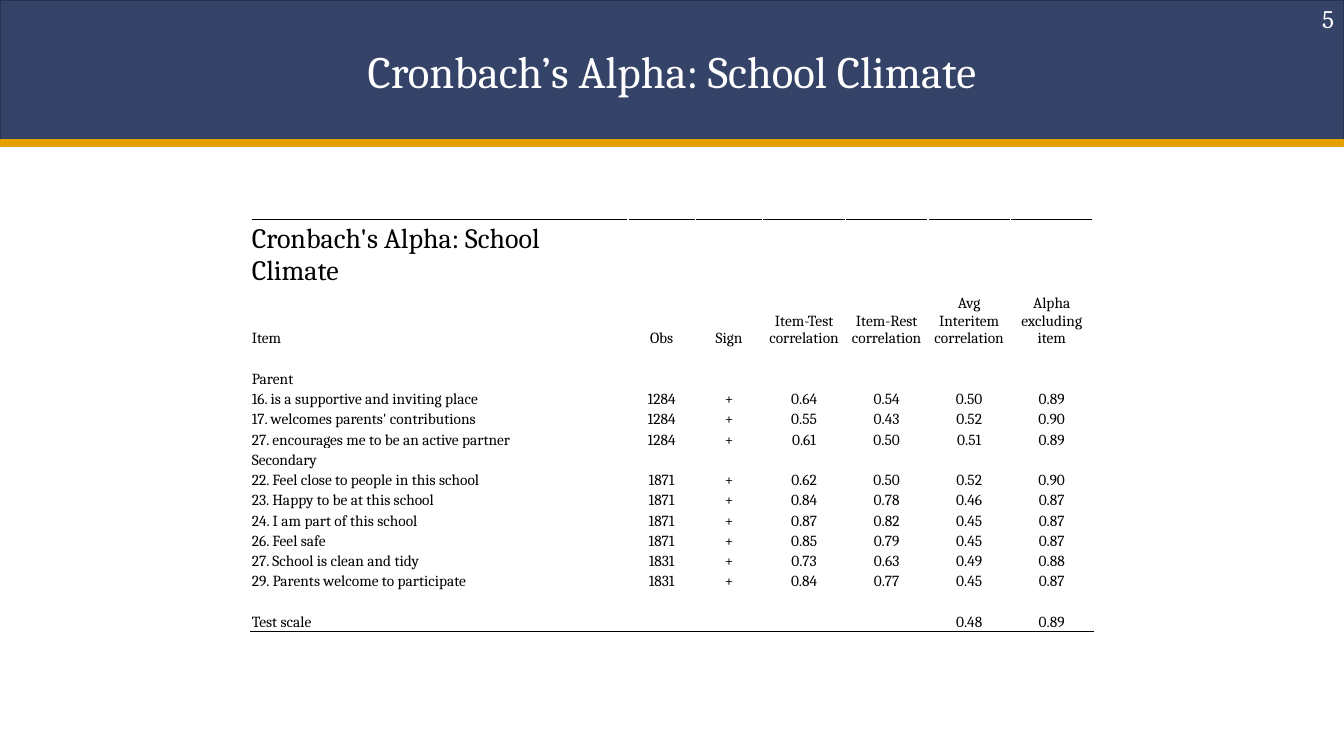
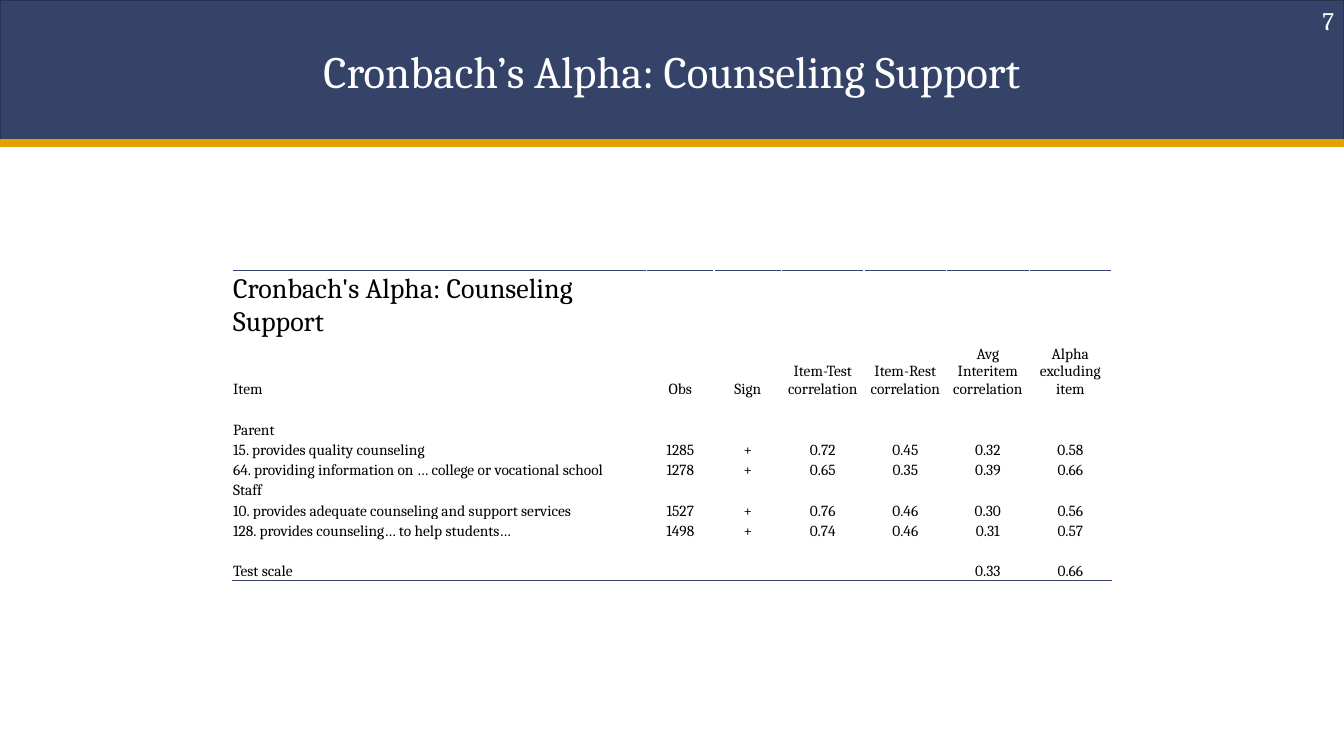
from dataclasses import dataclass
from typing import NamedTuple

from lxml import etree
from pptx import Presentation
from pptx.dml.color import RGBColor
from pptx.enum.shapes import MSO_CONNECTOR, MSO_SHAPE
from pptx.enum.text import MSO_ANCHOR, PP_ALIGN
from pptx.oxml.ns import qn
from pptx.util import Cm, Pt

STRAIGHT = MSO_CONNECTOR.STRAIGHT
RECTANGLE = MSO_SHAPE.RECTANGLE
MIDDLE, BOTTOM = MSO_ANCHOR.MIDDLE, MSO_ANCHOR.BOTTOM
LEFT, CENTER, RIGHT = PP_ALIGN.LEFT, PP_ALIGN.CENTER, PP_ALIGN.RIGHT

COLORS = {
    "navy": "354369",
    "navy_edge": "27324E",
    "gold": "E2A100",
    "white": "FFFFFF",
    "black": "000000",
}
FONT = "Cambria"

# Lengths in centimetres
SLIDE_WIDTH, SLIDE_HEIGHT = 33.87, 19.05
BAND_HEIGHT = 3.61
NUMBER_WIDTH = 7.9
VALUE_WIDTHS = [1.7] * 2 + [2.08] * 4
CAPTION_HEIGHT, HEADER_HEIGHT, ROW_HEIGHT = 0.91, 1.52, 0.51

HEADERS = ["Item", "Obs", "Sign", "Item-Test correlation", "Item-Rest correlation",
           "Avg Interitem correlation", "Alpha excluding item"]
BLANK_ROW = [""] * len(HEADERS)


class Item(NamedTuple):
    label: str
    observations: int
    item_test: float
    item_rest: float
    interitem: float
    alpha: float


class Group(NamedTuple):
    name: str
    items: list[Item]


@dataclass
class AlphaSlide:
    topic: str
    number: str
    table_top: float
    label_width: float
    rule_color: str
    groups: list[Group]
    scale_interitem: float
    scale_alpha: float
    number_spacing: float = 1.0


SLIDES = [
    AlphaSlide("School Climate", "5", 5.53, 9.5, "black", [
        Group("Parent", [
            Item("16. is a supportive and inviting place", 1284, 0.64, 0.54, 0.50, 0.89),
            Item("17. welcomes parents' contributions", 1284, 0.55, 0.43, 0.52, 0.90),
            Item("27. encourages me to be an active partner", 1284, 0.61, 0.50, 0.51, 0.89),
        ]),
        Group("Secondary", [
            Item("22. Feel close to people in this school", 1871, 0.62, 0.50, 0.52, 0.90),
            Item("23. Happy to be at this school", 1871, 0.84, 0.78, 0.46, 0.87),
            Item("24. I am part of this school", 1871, 0.87, 0.82, 0.45, 0.87),
            Item("26. Feel safe", 1871, 0.85, 0.79, 0.45, 0.87),
            Item("27. School is clean and tidy", 1831, 0.73, 0.63, 0.49, 0.88),
            Item("29. Parents welcome to participate", 1831, 0.84, 0.77, 0.45, 0.87),
        ]),
    ], 0.48, 0.89, number_spacing=0.9),
    AlphaSlide("Counseling Support", "7", 6.81, 10.44, "navy", [
        Group("Parent", [
            Item("15. provides quality counseling", 1285, 0.72, 0.45, 0.32, 0.58),
            Item("64. providing information on … college or vocational school",
                 1278, 0.65, 0.35, 0.39, 0.66),
        ]),
        Group("Staff", [
            Item("10. provides adequate counseling and support services",
                 1527, 0.76, 0.46, 0.30, 0.56),
            Item("128. provides counseling… to help students…", 1498, 0.74, 0.46, 0.31, 0.57),
        ]),
    ], 0.33, 0.66),
]


def color(name: str) -> RGBColor:
    return RGBColor.from_string(COLORS[name])


def format_paragraph(paragraph, size: int, color_name: str, alignment) -> None:
    paragraph.alignment = alignment
    paragraph.font.name = FONT
    paragraph.font.size = Pt(size)
    paragraph.font.color.rgb = color(color_name)


def add_band_to_layout(slide, layout) -> None:
    """Draw the header band and move it behind the layout's placeholders."""
    for placeholder in list(layout.placeholders):
        if placeholder.placeholder_format.idx != 0:
            placeholder.element.getparent().remove(placeholder.element)

    band = slide.shapes.add_shape(RECTANGLE, 0, 0, Cm(SLIDE_WIDTH), Cm(BAND_HEIGHT))
    band.shadow.inherit = False
    band.fill.solid()
    band.fill.fore_color.rgb = color("navy")
    band.line.color.rgb = color("navy_edge")
    band.line.width = Pt(2)

    rule = slide.shapes.add_connector(STRAIGHT, Cm(-0.08), Cm(BAND_HEIGHT),
                                      Cm(SLIDE_WIDTH + 0.08), Cm(BAND_HEIGHT))
    rule.line.color.rgb = color("gold")
    rule.line.width = Pt(6)
    etree.SubElement(rule.element.spPr, qn("a:effectLst"))

    for position, shape in enumerate((band, rule), start=2):
        layout.shapes.element.insert(position, shape.element)


def add_title(slide, text: str) -> None:
    title = slide.shapes.title
    title.left, title.top = Cm(1.7), Cm(0.2)
    title.width, title.height = Cm(30.48), Cm(3.18)
    title.text_frame.text = text
    title.text_frame.vertical_anchor = MIDDLE
    format_paragraph(title.text_frame.paragraphs[0], 32, "white", CENTER)


def add_number(slide, number: str, line_spacing: float) -> None:
    box = slide.shapes.add_textbox(Cm(SLIDE_WIDTH - NUMBER_WIDTH), 0,
                                   Cm(NUMBER_WIDTH), Cm(1.02))
    box.text_frame.word_wrap = True
    box.text_frame.vertical_anchor = MIDDLE
    box.text_frame.text = number
    paragraph = box.text_frame.paragraphs[0]
    paragraph.line_spacing = line_spacing
    format_paragraph(paragraph, 18, "white", RIGHT)


def add_border(cell, side: str, color_name: str) -> None:
    properties = cell._tc.get_or_add_tcPr()
    line = etree.SubElement(properties, qn(f"a:{side}"), w=str(Pt(1)))
    fill = etree.SubElement(line, qn("a:solidFill"))
    etree.SubElement(fill, qn("a:srgbClr"), val=COLORS[color_name])


def fill_cell(cell, text: str, size: int, alignment) -> None:
    cell.fill.background()
    cell.vertical_anchor = BOTTOM
    cell.margin_left = cell.margin_right = cell.margin_top = Cm(0.02)
    cell.margin_bottom = 0
    cell.text = text
    paragraph = cell.text_frame.paragraphs[0]
    format_paragraph(paragraph, size, "black", alignment)
    if not text:  # keeps an empty cell from stretching its row
        etree.SubElement(paragraph._p, qn("a:endParaRPr"), sz=str(size * 100))


def table_rows(content: AlphaSlide) -> list[list[str]]:
    rows = [[f"Cronbach's Alpha: {content.topic}"] + BLANK_ROW[1:], HEADERS, BLANK_ROW]
    for group in content.groups:
        rows.append([group.name] + BLANK_ROW[1:])
        for label, observations, *scores in group.items:
            rows.append([label, str(observations), "+"] + [f"{score:.2f}" for score in scores])
    scale = [f"{content.scale_interitem:.2f}", f"{content.scale_alpha:.2f}"]
    return rows + [BLANK_ROW, ["Test scale"] + BLANK_ROW[3:] + scale]


def add_alpha_table(slide, content: AlphaSlide) -> None:
    rows = table_rows(content)
    widths = [content.label_width] + VALUE_WIDTHS
    heights = [CAPTION_HEIGHT, HEADER_HEIGHT] + [ROW_HEIGHT] * (len(rows) - 2)
    table = slide.shapes.add_table(
        len(rows), len(widths), Cm((SLIDE_WIDTH - sum(widths)) / 2), Cm(content.table_top),
        Cm(sum(widths)), Cm(sum(heights))).table
    table.first_row = table.horz_banding = False
    for column, width in zip(table.columns, widths):
        column.width = Cm(width)
    for row, height in zip(table.rows, heights):
        row.height = Cm(height)

    for row_index, texts in enumerate(rows):
        for column_index, text in enumerate(texts):
            cell = table.cell(row_index, column_index)
            if row_index == 0:
                add_border(cell, "lnT", content.rule_color)
            elif row_index == len(rows) - 1:
                add_border(cell, "lnB", content.rule_color)
            fill_cell(cell, text, 20 if row_index == 0 else 11,
                      LEFT if column_index == 0 else CENTER)


def main() -> None:
    presentation = Presentation()
    presentation.slide_width, presentation.slide_height = Cm(SLIDE_WIDTH), Cm(SLIDE_HEIGHT)
    layout = presentation.slide_layouts.get_by_name("Title Only")
    for index, content in enumerate(SLIDES):
        slide = presentation.slides.add_slide(layout)
        if index == 0:
            add_band_to_layout(slide, layout)
        add_title(slide, f"Cronbach’s Alpha: {content.topic}")
        add_number(slide, content.number, content.number_spacing)
        add_alpha_table(slide, content)
    presentation.save("out.pptx")


if __name__ == "__main__":
    main()
